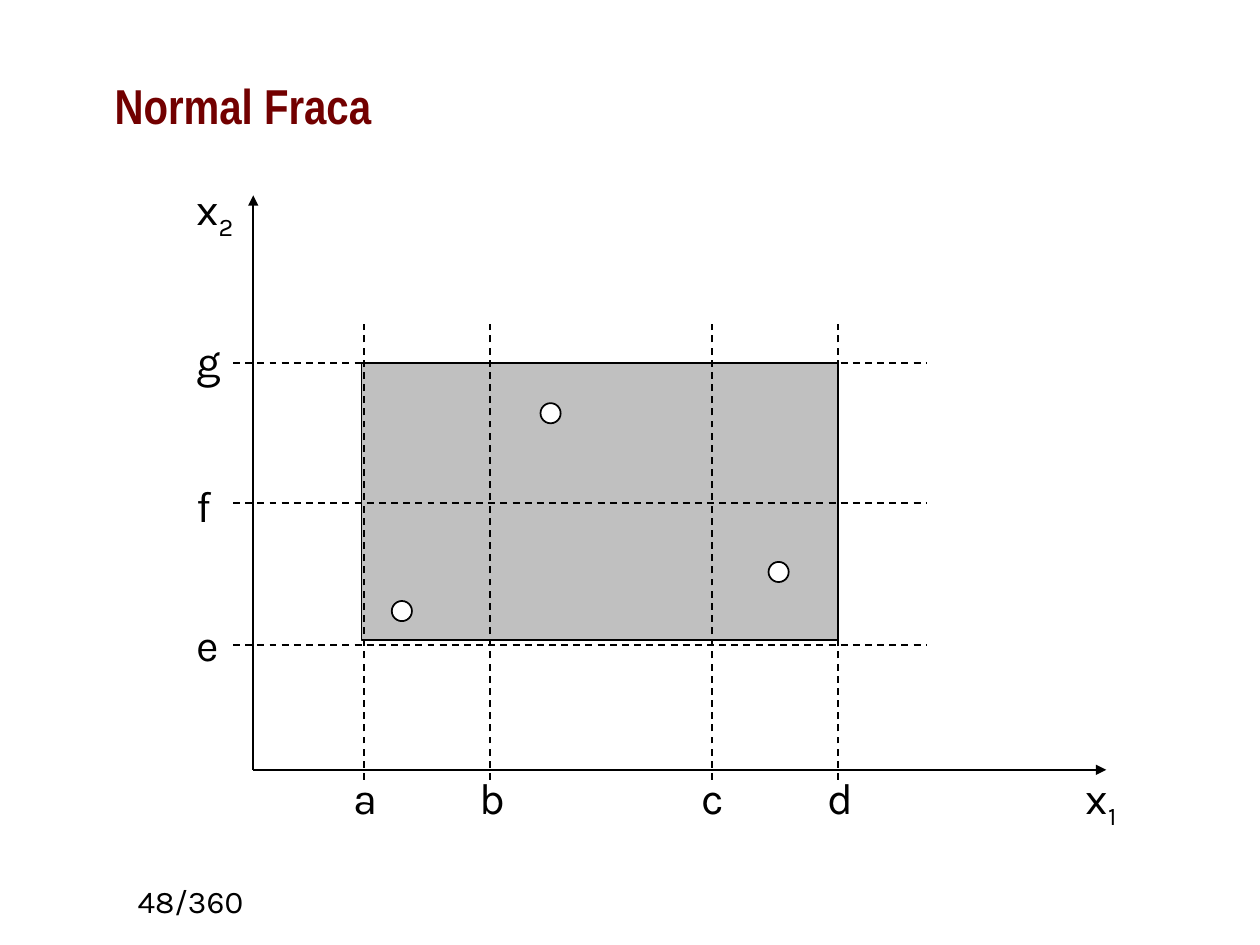
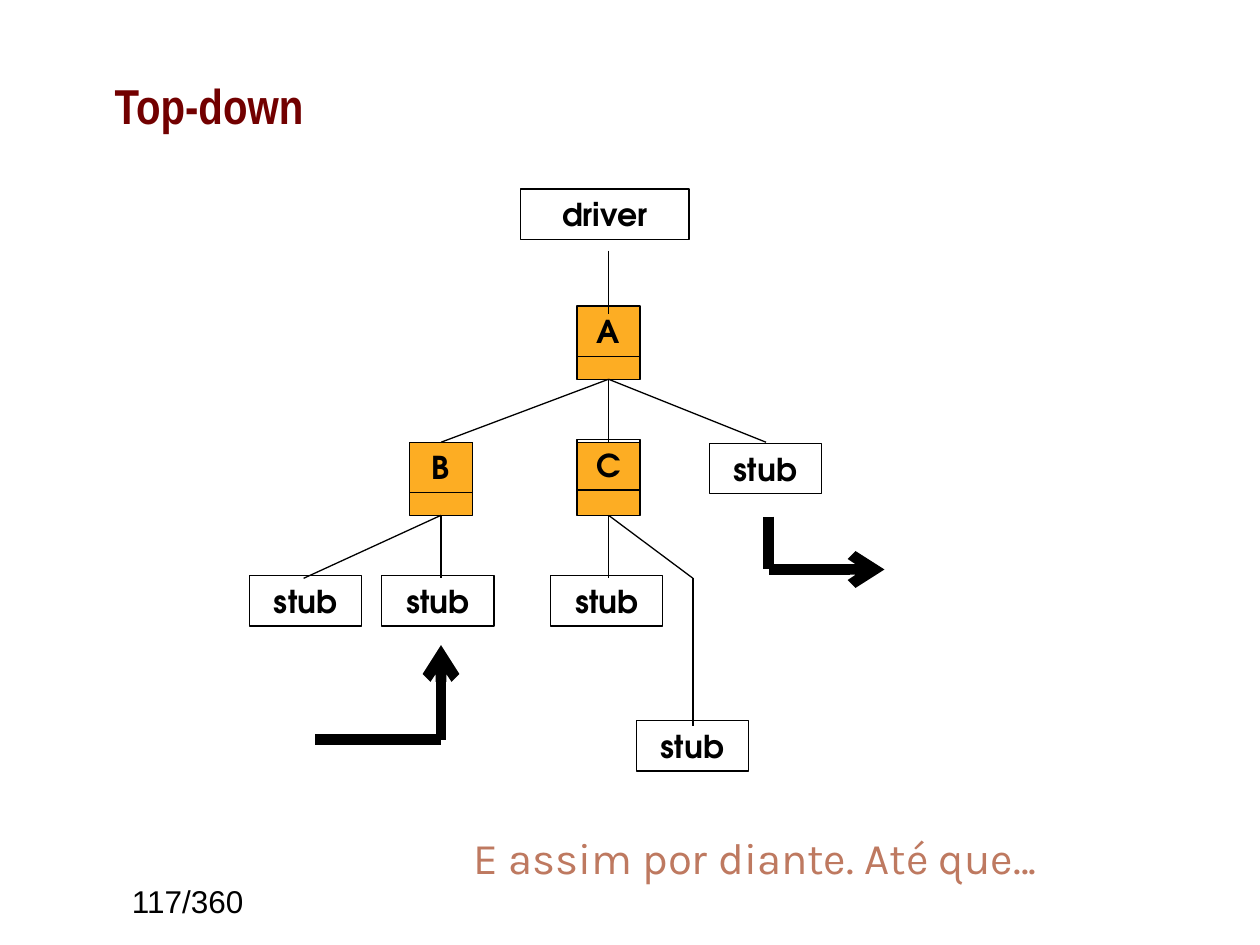
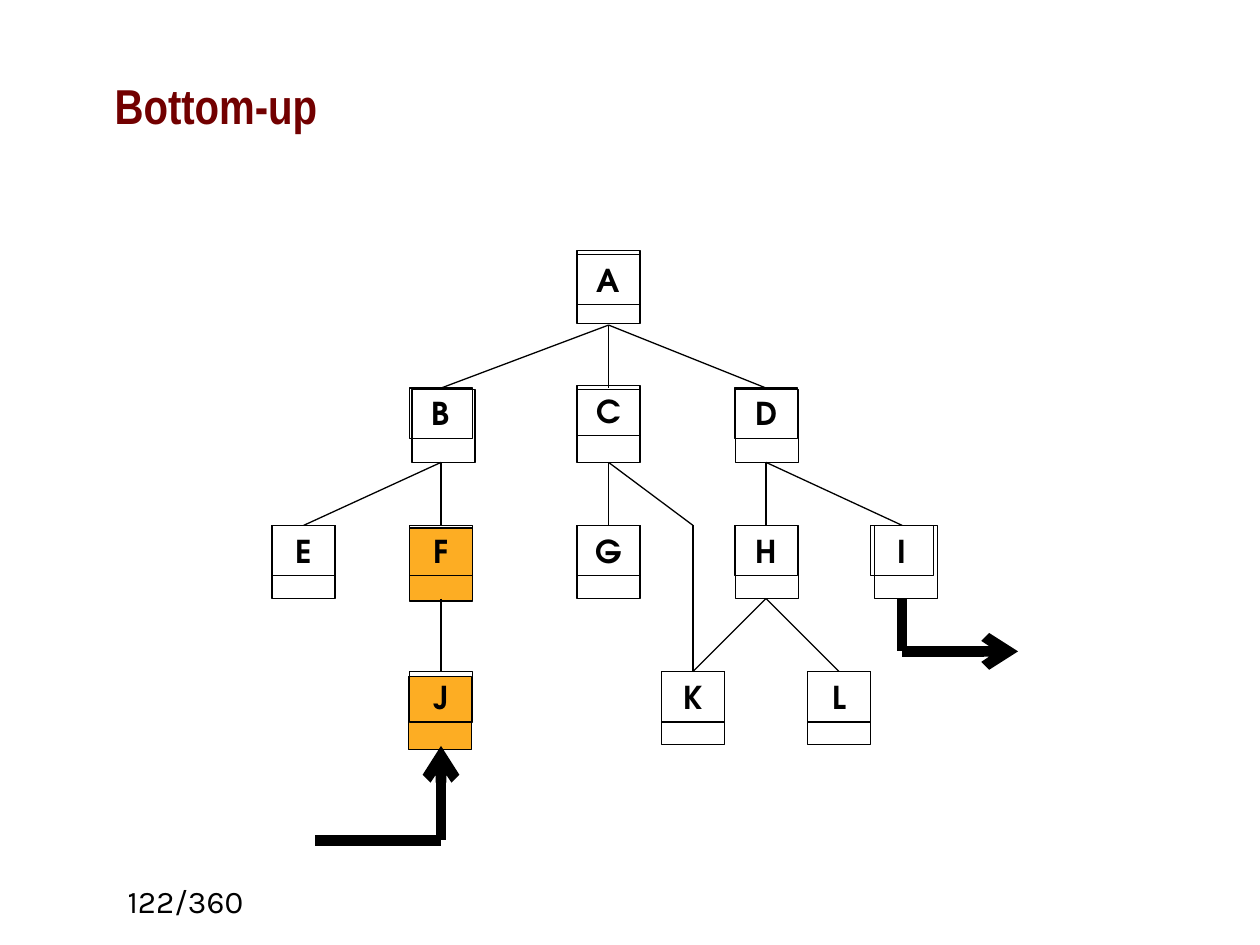
from itertools import pairwise

from lxml.etree import SubElement
from pptx import Presentation
from pptx.dml.color import RGBColor
from pptx.enum.dml import MSO_LINE
from pptx.enum.shapes import MSO_CONNECTOR, MSO_SHAPE
from pptx.enum.text import MSO_ANCHOR, MSO_AUTO_SIZE, PP_ALIGN
from pptx.oxml.ns import qn
from pptx.util import Inches, Pt

COLORS = {
    "ink": "000000",
    "title": "720000",
    "region": "C0C0C0",
    "point": "FFFFFF",
    "tested": "FDAD23",
    "remark": "BE7960",
}
BODY_FONT = "Karla"
TREE_FONT = "TeX Gyre Adventor"
TITLE_FONT = "Arial Narrow"
THIN = 0.75
TREE_COLUMNS = {"E": 0.41, "B": 1.5, "C": 2.83, "K": 3.5, "D": 4.08, "L": 4.66, "I": 5.16}


def rgb(role):
    return RGBColor.from_string(COLORS[role])


def add_run(paragraph, text, font, size, color="ink", bold=False, baseline=0):
    run = paragraph.add_run()
    run.text = text
    run.font.name = font
    run.font.size = Pt(size)
    run.font.bold = bold
    run.font.color.rgb = rgb(color)
    if baseline:
        run.font._element.set("baseline", str(baseline * 1000))


def add_label(slide, left, top, text, subscript="", width=0.38, color="ink"):
    label = slide.shapes.add_textbox(Inches(left), Inches(top), Inches(width), Inches(0.52))
    frame = label.text_frame
    frame.word_wrap = False
    frame.auto_size = MSO_AUTO_SIZE.SHAPE_TO_FIT_TEXT
    paragraph = frame.paragraphs[0]
    paragraph.alignment = PP_ALIGN.LEFT
    add_run(paragraph, text, BODY_FONT, 25, color)
    if subscript:
        add_run(paragraph, subscript, BODY_FONT, 25, color, baseline=-25)


def add_outlined(slide, kind, left, top, width, height, fill=None, weight=THIN):
    outlined = slide.shapes.add_shape(kind, Inches(left), Inches(top), Inches(width), Inches(height))
    outlined.shadow.inherit = False
    if fill:
        outlined.fill.solid()
        outlined.fill.fore_color.rgb = rgb(fill)
    else:
        outlined.fill.background()
    outlined.line.color.rgb = rgb("ink")
    outlined.line.width = Pt(weight)
    return outlined


def add_line(slide, start, end, weight=THIN, dash=None, arrowhead=None):
    line = slide.shapes.add_connector(MSO_CONNECTOR.STRAIGHT, *map(Inches, (*start, *end)))
    line.line.color.rgb = rgb("ink")
    line.line.width = Pt(weight)
    if dash:
        line.line.dash_style = dash
    if arrowhead:
        SubElement(line.line._get_or_add_ln(), qn("a:tailEnd"), type=arrowhead)
    SubElement(line._element.spPr, qn("a:effectLst"))


def add_titled_slide(deck, title, page, page_font=BODY_FONT):
    slide = deck.slides.add_slide(deck.slide_layouts[5])
    heading = slide.shapes.title
    heading.left, heading.top, heading.width, heading.height = map(Inches, (0.81, 0.21, 7.97, 1.25))
    heading.text_frame.vertical_anchor = MSO_ANCHOR.MIDDLE
    heading.text_frame.auto_size = MSO_AUTO_SIZE.NONE
    paragraph = heading.text_frame.paragraphs[0]
    paragraph.alignment = PP_ALIGN.LEFT
    add_run(paragraph, title, TITLE_FONT, 28, "title", bold=True)

    page_box = slide.shapes.add_textbox(*map(Inches, (0.86, 6.95, 1.17, 0.39)))
    page_box.text_frame.word_wrap = True
    paragraph = page_box.text_frame.paragraphs[0]
    paragraph.alignment = PP_ALIGN.RIGHT
    add_run(paragraph, f"{page}/360", page_font, 18)
    return slide


def add_name_box(slide, left, top, width, name):
    box = add_outlined(slide, MSO_SHAPE.RECTANGLE, left, top, width, 0.4)
    box.text_frame.word_wrap = True
    box.text_frame.vertical_anchor = MSO_ANCHOR.TOP
    paragraph = box.text_frame.paragraphs[0]
    paragraph.alignment = PP_ALIGN.CENTER
    add_run(paragraph, name, TREE_FONT, 18, bold=True)


def add_modules(slide, left, top, modules, tested):
    for name, column, row, shift, drop in modules:
        module_left = left + TREE_COLUMNS[column] - 0.25
        fill = "tested" if name in tested else None
        add_outlined(slide, MSO_SHAPE.RECTANGLE, module_left + shift, top + row + drop, 0.5, 0.58, fill)
        add_name_box(slide, module_left, top + row, 0.5, name)


def add_branches(slide, left, top, branches):
    for parent, start, child, end in branches:
        add_line(
            slide,
            (left + TREE_COLUMNS[parent], top + start),
            (left + TREE_COLUMNS[child], top + end),
        )


def add_bent_arrow(slide, *corners):
    segments = list(pairwise(corners))
    for segment in segments:
        add_line(slide, *segment, weight=6, arrowhead="arrow" if segment is segments[-1] else None)


def add_flow_arrows(slide, entry, leaving):
    x, y = entry
    add_bent_arrow(slide, (x - 1, y + 0.75), (x, y + 0.75), (x, y))
    x, y = leaving
    add_bent_arrow(slide, (x, y), (x, y + 0.42), (x + 0.92, y + 0.42))


def add_domain_plot(slide, left, base):
    region = (left + 0.86, base - 3.23, 3.78, 2.2)
    add_outlined(slide, MSO_SHAPE.RECTANGLE, *region, fill="region", weight=1)
    for tip in ((left, base - 4.56), (left + 6.77, base)):
        add_line(slide, (left, base), tip, weight=1, arrowhead="triangle")
    add_label(slide, left + 6.51, base - 0.04, "x", "1", width=0.5)
    add_label(slide, left - 0.55, base - 4.72, "x", "2", width=0.5)

    for name, offset in (("a", 0.88), ("b", 1.88), ("c", 3.64), ("d", 4.64)):
        x = left + offset
        add_line(slide, (x, base + 0.08), (x, base - 3.54), 1, MSO_LINE.DASH)
        add_label(slide, x - 0.18, base - 0.04, name)
    for name, offset, rise in (("e", 0.99, 0.27), ("f", 2.12, 0.24), ("g", 3.23, 0.28)):
        y = base - offset
        add_line(slide, (left - 0.16, y), (left + 5.35, y), 1, MSO_LINE.DASH)
        add_label(slide, left - 0.55, y - rise, name)
    for x, y in ((2.28, 2.91), (1.1, 1.34), (4.09, 1.65)):
        add_outlined(slide, MSO_SHAPE.OVAL, left + x, base - y, 0.16, 0.16, "point", 1)


def add_top_down_tree(slide, left, top):
    modules = [
        ("A", "C", 0.93, 0, 0),
        ("B", "B", 2.01, 0, 0),
        ("C", "C", 1.99, 0, 0.02),
    ]
    add_modules(slide, left, top, modules, "ABC")
    add_name_box(slide, left + 2.13, top, 1.34, "driver")
    for x, y in ((-0.02, 3.07), (1.03, 3.07), (2.37, 3.07), (3.63, 2.02), (3.05, 4.22)):
        add_name_box(slide, left + x, top + y, 0.89, "stub")
    branches = [("C", 0.49, "C", 0.99)]
    branches += [("C", 1.51, child, 2.01) for child in "BCD"]
    branches += [(parent, 2.59, child, 3.09) for parent, child in ("BE", "BB", "CC", "CK")]
    branches += [("K", 3.09, "K", 4.26)]
    add_branches(slide, left, top, branches)
    add_flow_arrows(slide, (left + 1.5, top + 3.62), (left + 4.1, top + 2.6))


def add_bottom_up_tree(slide, left, top):
    modules = [
        ("A", "C", 0.02, 0, -0.03),
        ("B", "B", 1.08, 0.02, 0.01),
        ("C", "C", 1.06, 0, 0.03),
        ("D", "D", 1.08, 0.01, 0.01),
        ("E", "E", 2.17, 0, 0),
        ("F", "B", 2.17, 0, 0.02),
        ("G", "C", 2.17, 0, 0),
        ("H", "D", 2.17, 0.01, 0),
        ("I", "I", 2.17, 0.03, 0),
        ("J", "B", 3.33, -0.01, 0.04),
        ("K", "K", 3.33, 0, 0),
        ("L", "L", 3.33, 0, 0),
    ]
    add_modules(slide, left, top, modules, "FJ")
    branches = [("C", 0.58, child, 1.08) for child in "BCD"]
    branches += [
        (parent, 1.67, child, 2.17) for parent, child in ("BE", "BB", "CC", "CK", "DD", "DI")
    ]
    branches += [(parent, 2.75, child, 3.33) for parent, child in ("BB", "DK", "DL")]
    branches += [("K", 2.17, "K", 3.33)]
    add_branches(slide, left, top, branches)
    add_flow_arrows(slide, (left + 1.5, top + 3.92), (left + 5.16, top + 2.75))


def main():
    deck = Presentation()
    deck.slide_width, deck.slide_height = Inches(10), Inches(7.5)

    add_domain_plot(add_titled_slide(deck, "Normal Fraca", 48), 2.01, 6.11)

    top_down = add_titled_slide(deck, "Top-down", 117, "Arial")
    add_top_down_tree(top_down, 2, 1.5)
    add_label(top_down, 3.66, 6.54, "E assim por diante. Até que...", width=4.87, color="remark")

    add_bottom_up_tree(add_titled_slide(deck, "Bottom-up", 122), 2, 2)
    deck.save("out.pptx")


if __name__ == "__main__":
    main()
